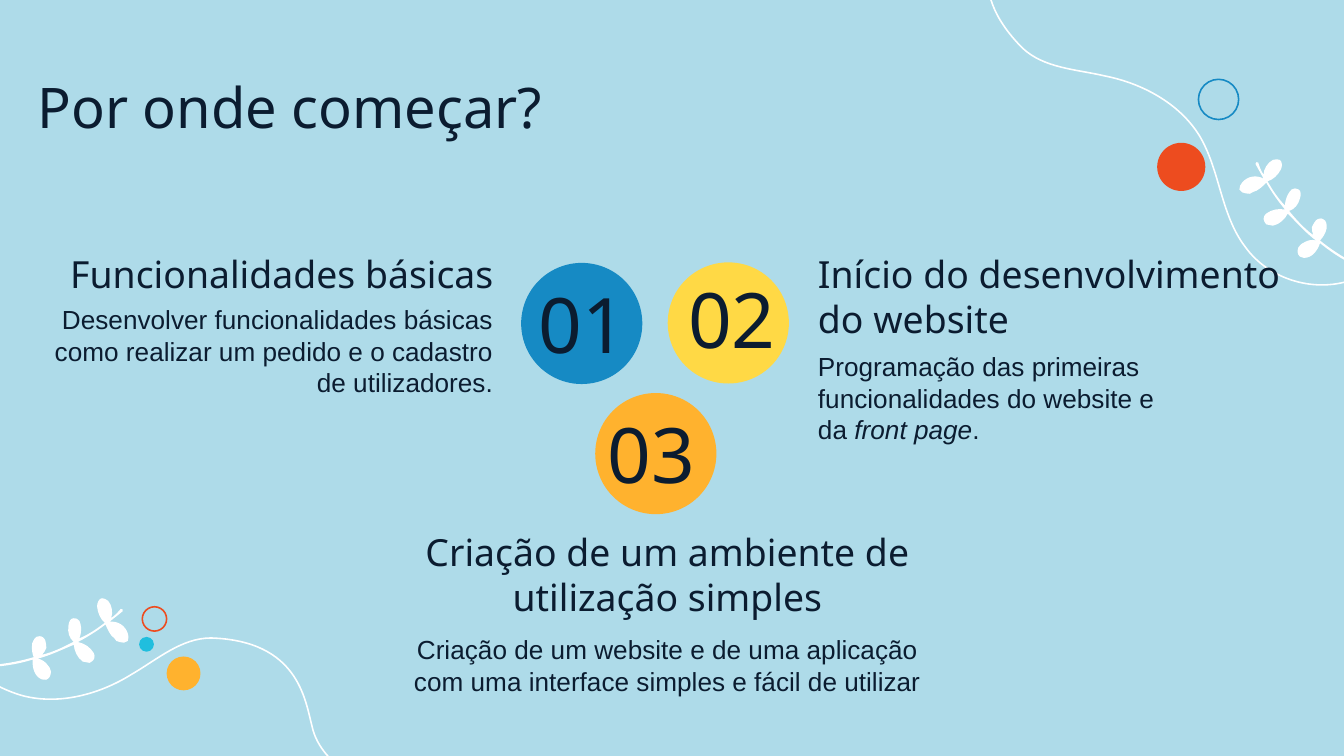
"""Build the "Por onde começar?" slide."""
import math

import lxml.etree
import pptx
import pptx.dml.color
import pptx.enum.shapes
import pptx.enum.text
import pptx.oxml.ns
import pptx.util

Cm = pptx.util.Cm
ALIGN = pptx.enum.text.PP_ALIGN
HUNDREDTH_INCH = 0.0254
INK = "0B1C30"
WHITE = "FFFFFF"

# Style: font, size in points
TITLE = ("Noto Sans", 30)
NUMBER = ("Noto Sans", 41)
HEADING = ("Noto Sans", 20)
BODY = ("Arial", 14)

# Bezier outlines in hundredths of an inch: start, then two handles and an end per curve
WAVE_PIVOT, WAVE_TILT, WAVE_SIZE = (59, 604.5), 9.6, (14.02, 7.75)
WAVE = [
    (256, 741), (284, 737), (309, 717), (319, 690), (329, 664), (323, 632), (304, 611),
    (281, 585), (239, 574), (232, 540), (227, 521), (222, 477), (157, 475),
    (135, 475), (117, 491), (98, 502), (74, 517), (44, 525), (17, 518),
    (-12, 510), (-35, 486), (-65, 481), (-95, 475), (-128, 492), (-141, 520),
    (-149, 535), (-150, 554), (-162, 567), (-169, 576), (-180, 581), (-189, 588),
    (-199, 595), (-208, 604), (-215, 615), (-222, 625), (-227, 638), (-226, 651),
    (-224, 666), (-215, 678), (-205, 689), (-195, 700), (-184, 710), (-173, 719),
]
TWIG_PIVOT, TWIG_TILT, TWIG_SIZE = (969.5, 163.5), 257.3, (2.51, 2.06)
TWIG = [
    (934, 122), (936, 126), (938, 129), (940, 133), (935, 130), (928, 131), (924, 136),
    (923, 137), (922, 139), (922, 141), (923, 143), (925, 144), (927, 144),
    (929, 145), (931, 144), (932, 143), (936, 142), (939, 139), (942, 136),
    (946, 143), (951, 150), (956, 156), (951, 155), (946, 156), (942, 159),
    (941, 160), (940, 161), (940, 163), (940, 164), (941, 166), (942, 167),
    (944, 168), (945, 168), (947, 168), (952, 167), (956, 163), (958, 159),
    (965, 166), (971, 173), (979, 179), (976, 178), (973, 179), (971, 180),
    (969, 181), (967, 182), (966, 184), (965, 187), (965, 189), (967, 191),
    (968, 191), (969, 192), (970, 192), (976, 192), (980, 187), (982, 181),
    (993, 190), (1005, 197), (1018, 202), (1019, 203), (1019, 201), (1018, 201),
    (1005, 195), (993, 188), (982, 179), (984, 177), (986, 174), (987, 170),
    (987, 167), (987, 164), (984, 163), (983, 162), (980, 163), (979, 164),
    (978, 165), (977, 167), (976, 169), (976, 171), (976, 173), (977, 175),
    (970, 170), (964, 163), (959, 157), (963, 156), (966, 152), (967, 148),
    (968, 145), (968, 142), (966, 141), (964, 140), (963, 140), (961, 141),
    (960, 142), (959, 143), (958, 145), (957, 147), (956, 150), (956, 153),
    (951, 148), (947, 142), (943, 135), (947, 134), (951, 130), (953, 126),
    (954, 124), (954, 120), (952, 119), (951, 118), (949, 119), (947, 119),
    (943, 121), (940, 126), (940, 130), (938, 127), (937, 124), (936, 121),
    (935, 120), (934, 121), (934, 122),
]


def color(hex_string):
    """Return the RGB colour for a hex string."""
    return pptx.dml.color.RGBColor.from_string(hex_string)


def paint(sp, fill=None, line=None):
    """Give a shape a fill, a thin line, or neither, and no shadow."""
    sp.shadow.inherit = False
    if fill:
        sp.fill.solid()
        sp.fill.fore_color.rgb = color(fill)
    else:
        sp.fill.background()
    if line:
        sp.line.color.rgb = color(line)
        sp.line.width = pptx.util.Pt(0.84)
    else:
        sp.line.fill.background()


def add_circle(s, left, top, size, fill=None, line=None):
    """Add a circle measured in centimetres."""
    sp = s.shapes.add_shape(pptx.enum.shapes.MSO_SHAPE.OVAL,
                            Cm(left), Cm(top), Cm(size), Cm(size))
    paint(sp, fill, line)


def level(points, pivot, tilt):
    """Centre points on their pivot and undo their tilt."""
    cos, sin = math.cos(math.radians(tilt)), math.sin(math.radians(tilt))
    moved = [(x - pivot[0], y - pivot[1]) for x, y in points]
    return [(x * cos + y * sin, y * cos - x * sin) for x, y in moved]


def add_step(path, tag, points):
    """Append one drawing step with its points to a path."""
    qn = pptx.oxml.ns.qn
    step = lxml.etree.SubElement(path, qn(tag))
    for x, y in points:
        lxml.etree.SubElement(step, qn("a:pt"), x=str(x), y=str(y))


def add_outline(s, points, size, center, rotation, fill=None, line=None, mirror=False):
    """Add a levelled Bezier outline in a box around a centre and rotate it."""
    width, height = size
    left, top = center[0] - width / 2, center[1] - height / 2
    builder = s.shapes.build_freeform(Cm(left), Cm(top))
    builder.add_line_segments([(Cm(left + width), Cm(top + height))], close=False)
    sp = builder.convert_to_shape()
    sign = -1 if mirror else 1
    spots = [(Cm(width / 2 + sign * x * HUNDREDTH_INCH), Cm(height / 2 + y * HUNDREDTH_INCH))
             for x, y in points]
    path = next(sp._element.iter(pptx.oxml.ns.qn("a:path")))
    for step in list(path):
        path.remove(step)
    add_step(path, "a:moveTo", spots[:1])
    for i in range(1, len(spots), 3):
        add_step(path, "a:cubicBezTo", spots[i:i + 3])
    if fill:
        add_step(path, "a:close", [])
    sp.rotation = rotation
    paint(sp, fill, line)


def add_text(s, box, runs, style, align=ALIGN.LEFT):
    """Add a one-paragraph text box; every second run is italic."""
    font, size = style
    tf = s.shapes.add_textbox(*map(Cm, box)).text_frame
    tf.word_wrap = True
    tf.margin_left = tf.margin_right = tf.margin_top = tf.margin_bottom = Cm(0.25)
    p = tf.paragraphs[0]
    p.alignment = align
    for i, text in enumerate(runs):
        r = p.add_run()
        r.text = text
        r.font.name = font
        r.font.size = pptx.util.Pt(size)
        r.font.color.rgb = color(INK)
        r.font.italic = i % 2 == 1


def add_decoration(s):
    """Add the waves, twigs and dots in the two corners."""
    wave = level(WAVE, WAVE_PIVOT, WAVE_TILT)
    twig = level(TWIG, TWIG_PIVOT, TWIG_TILT)
    add_outline(s, wave, WAVE_SIZE, (23.39, 0.22), 232.9, line=WHITE)
    add_circle(s, 21.87, 2.7, 0.91, fill="ED4C1F")
    add_circle(s, 22.65, 1.5, 0.76, line="168AC4")
    add_outline(s, wave, WAVE_SIZE, (1.5, 15.35), 9.6, line=WHITE)
    add_circle(s, 3.15, 12.41, 0.64, fill="FFB22E")
    add_circle(s, 2.63, 12.04, 0.28, fill="20BEDE")
    add_outline(s, twig, TWIG_SIZE, (24.63, 4.15), 257.3, fill=WHITE)
    add_circle(s, 2.69, 11.47, 0.46, line="ED4C1F")
    add_outline(s, twig, TWIG_SIZE, (1.08, 12.18), 125.3, fill=WHITE, mirror=True)


def main():
    """Build and save the slide."""
    prs = pptx.Presentation()
    prs.slide_width, prs.slide_height = Cm(25.4), Cm(14.29)
    s = prs.slides.add_slide(prs.slide_layouts[6])
    s.background.fill.solid()
    s.background.fill.fore_color.rgb = color("AEDBE9")
    add_decoration(s)

    for left, top, fill in ((11.25, 7.43, "FFB22E"), (12.62, 4.96, "FFD945"),
                            (9.85, 4.97, "168AC4")):
        add_circle(s, left, top, 2.29, fill=fill)

    add_text(s, (9.93, 4.98, 2.21, 2.41), ["01"], NUMBER)
    add_text(s, (11.23, 7.44, 2.69, 2.41), ["03"], NUMBER)
    add_text(s, (12.32, 4.9, 2.59, 2.41), ["02"], NUMBER, ALIGN.RIGHT)
    add_text(s, (0.76, 5.49, 8.81, 1.52),
             ["Desenvolver funcionalidades básicas como realizar um pedido "
              "e o cadastro de utilizadores."], BODY, ALIGN.RIGHT)
    add_text(s, (7.47, 11.73, 10.29, 1.52),
             ["Criação de um website e de uma aplicação com uma interface "
              "simples e fácil de utilizar"], BODY, ALIGN.CENTER)
    add_text(s, (7.47, 9.75, 10.29, 1.17),
             ["Criação de um ambiente de utilização simples"], HEADING, ALIGN.CENTER)
    add_text(s, (15.21, 6.38, 7.39, 1.52),
             ["Programação das primeiras funcionalidades do website e da ",
              "front page", "."], BODY)
    add_text(s, (0.46, 1.12, 21.54, 1.6), ["Por onde começar?"], TITLE)
    add_text(s, (0, 4.5, 9.58, 1.17), ["Funcionalidades básicas"], HEADING, ALIGN.RIGHT)
    add_text(s, (15.21, 4.5, 10.13, 1.17), ["Início do desenvolvimento do website"], HEADING)
    prs.save("out.pptx")


if __name__ == "__main__":
    main()
